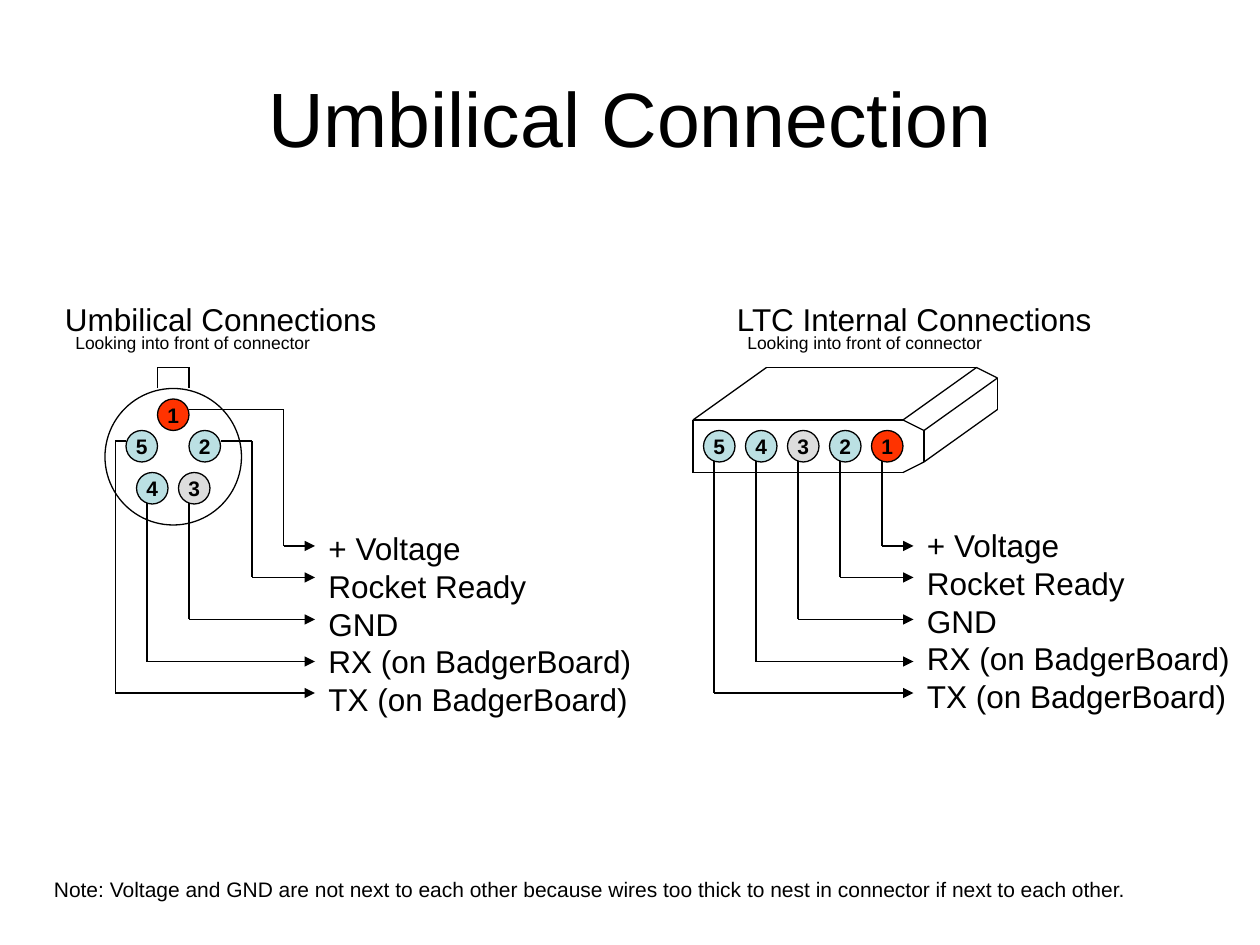
import pptx
import pptx.util
import pptx.dml.color
import pptx.enum.shapes
import pptx.enum.text
import pptx.oxml
import pptx.oxml.ns

Inches = pptx.util.Inches
Pt = pptx.util.Pt
ALIGN = pptx.enum.text.PP_ALIGN
MIDDLE = pptx.enum.text.MSO_ANCHOR.MIDDLE
GROW = pptx.enum.text.MSO_AUTO_SIZE.SHAPE_TO_FIT_TEXT
OVAL = pptx.enum.shapes.MSO_SHAPE.OVAL

BLACK, RED, BLUE, GRAY = "000000", "FF3300", "BBE0E3", "DDDDDD"
FILLS = {1: RED, 2: BLUE, 3: GRAY, 4: BLUE, 5: BLUE}
LABELS = ["+ Voltage", "Rocket Ready", "GND",
          "RX (on BadgerBoard)", "TX (on BadgerBoard)"]
AREA = (2.62, 1.6)
DROPS = [24, 27, 31, 35, 38]
HINT = "Looking into front of connector"
NOTE = ("Note: Voltage and GND are not next to each other because wires "
        "too thick to nest in connector if next to each other.")


def color(text):
    return pptx.dml.color.RGBColor.from_string(text)


def apply(item, values):
    for name, value in values.items():
        setattr(item, name, value)


def grid(box, x, y):
    return box[0] + Inches(x / 12), box[1] + Inches(y / 12)


def write(frame, lines, size, align=ALIGN.LEFT, bold=False, wrap=False):
    frame.text = "\n".join(lines)
    frame.word_wrap = wrap
    for para in frame.paragraphs:
        para.alignment = align
        apply(para.font, {"size": Pt(size), "name": "Arial", "bold": bold})
        para.font.color.rgb = color(BLACK)


def add_text(slide, place, size, lines, font):
    area = slide.shapes.add_textbox(*place, *map(Inches, size))
    write(area.text_frame, lines, font)
    area.text_frame.auto_size = GROW


def add_path(slide, box, points, arrow=False):
    kind = pptx.enum.shapes.MSO_CONNECTOR.STRAIGHT
    for start, end in zip(points, points[1:]):
        line = slide.shapes.add_connector(
            kind, *grid(box, *start), *grid(box, *end))
        line.line.width = Pt(0.75)
        line.line.color.rgb = color(BLACK)
        props = line._element.spPr
        props.append(pptx.oxml.parse_xml(
            "<a:effectLst %s/>" % pptx.oxml.ns.nsdecls("a")))
        if arrow and end == points[-1]:
            line.line._get_or_add_ln().append(pptx.oxml.parse_xml(
                '<a:tailEnd %s type="triangle"/>' % pptx.oxml.ns.nsdecls("a")))


def add_ring(slide, box, x, y, size, fill=None):
    ring = slide.shapes.add_shape(
        OVAL, *grid(box, x, y), Inches(size / 12), Inches(size / 12))
    ring.shadow.inherit = False
    ring.line.width = Pt(0.75)
    ring.line.color.rgb = color(BLACK)
    if fill:
        ring.fill.solid()
        ring.fill.fore_color.rgb = color(fill)
    else:
        ring.fill.background()
    return ring


def add_pins(slide, box, pins):
    for num, (x, y) in pins.items():
        pin = add_ring(slide, box, x, y, 3, FILLS[num])
        write(pin.text_frame, [str(num)], 12, ALIGN.CENTER, True)
        pin.text_frame.vertical_anchor = MIDDLE


def add_heads(slide, box, x, title, width):
    add_text(slide, grid(box, x, 0), (width, 0.4), [title], 18)
    add_text(slide, grid(box, x + 1, 3), (2.06, 0.27), [HINT], 10)


def draw_round(slide, box):
    add_ring(slide, box, 5, 9, 13)
    add_path(slide, box, [(10, 9), (10, 7), (13, 7), (13, 9)])
    add_heads(slide, box, 0, "Umbilical Connections", 2.67)
    add_text(slide, grid(box, 25.1, 21.8), AREA, LABELS, 18)
    starts = [[(13, 11), (22, 11)], [(16, 14), (19, 14)], [(13, 19)],
              [(9, 18)], [(7, 14), (6, 14)]]
    for start, drop in zip(starts, DROPS):
        turn = (start[-1][0], drop)
        add_path(slide, box, start + [turn, (25, drop)], True)
    add_pins(slide, box, {1: (10, 10), 2: (13, 13), 3: (12, 17),
                          4: (8, 17), 5: (7, 13)})


def draw_flat(slide, box):
    add_path(slide, box, [(20, 12), (0, 12), (0, 17), (20, 17), (22, 16),
                          (22, 13), (20, 12), (27, 7), (7, 7), (0, 12)])
    add_path(slide, box, [(22, 13), (29, 8), (27, 7)])
    add_path(slide, box, [(22, 16), (29, 11), (29, 8)])
    add_heads(slide, box, 3, "LTC Internal Connections", 3.03)
    add_text(slide, grid(box, 21.1, 21.5), AREA, LABELS, 18)
    for i, drop in enumerate(DROPS):
        x = 18 - 4 * i
        add_path(slide, box, [(x, 15), (x, drop), (21, drop)], True)
    add_pins(slide, box, {num: (21 - 4 * num, 13) for num in FILLS})


def draw_title(slide, box):
    title = slide.shapes.title
    apply(title, dict(zip(("left", "top", "width", "height"), box)))
    write(title.text_frame, ["Umbilical Connection"], 44, ALIGN.CENTER,
          wrap=True)
    title.text_frame.vertical_anchor = MIDDLE


def main():
    deck = pptx.Presentation()
    apply(deck, {"slide_width": Inches(10), "slide_height": Inches(7.5)})
    slide = deck.slides.add_slide(deck.slide_layouts[5])
    draw_title(slide, [Inches(n) for n in (0.5, 0.3, 9, 1.25)])
    draw_round(slide, (Inches(5 / 12), Inches(28 / 12)))
    draw_flat(slide, (Inches(5.5), Inches(28 / 12)))
    add_text(slide, (Inches(0.33), Inches(6.91)), (8.73, 0.3), [NOTE], 12)
    deck.save("out.pptx")


if __name__ == "__main__":
    main()
